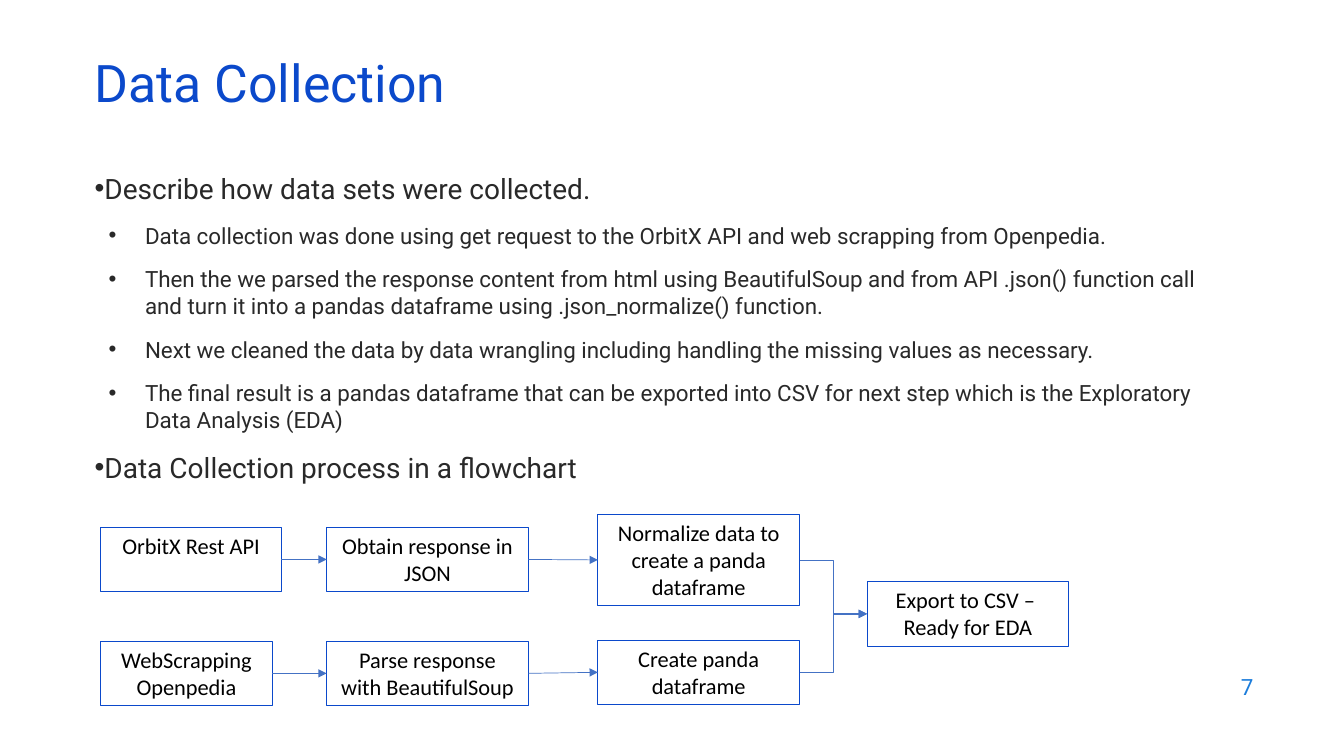
from lxml import etree
from pptx import Presentation
from pptx.dml.color import RGBColor
from pptx.enum import shapes, text
from pptx.oxml import ns
from pptx.util import Inches, Pt

BLUE = RGBColor(0x0B, 0x49, 0xCB)
ARROW_BLUE = RGBColor(0x44, 0x72, 0xC4)
NUMBER_BLUE = RGBColor(0x1C, 0x7D, 0xDB)
DARK = RGBColor(0x29, 0x29, 0x29)
BLACK = RGBColor(0, 0, 0)

# (level, text)
BULLETS = [
    (0, "Describe how data sets were collected."),
    (1, "Data collection was done using get request to the OrbitX API and "
        "web scrapping from Openpedia."),
    (1, "Then the we parsed the response content from html using BeautifulSoup "
        "and from API .json() function call and turn it into a pandas dataframe "
        "using .json_normalize() function."),
    (1, "Next we cleaned the data by data wrangling including handling the "
        "missing values as necessary."),
    (1, "The final result is a pandas dataframe that can be exported into CSV "
        "for next step which is the Exploratory Data Analysis (EDA)"),
    (0, "Data Collection process in a flowchart"),
]
LEVEL_SIZES = [20, 16]
LEVEL_INDENTS = [(0, 0), (0.5, -0.36)]

# name: (left, top, width, height, lines)
STEPS = {
    "api": (1, 5.23, 1.79, 0.64, ["OrbitX Rest API"]),
    "scraping": (1, 6.36, 1.7, 0.64, ["WebScrapping", "Openpedia"]),
    "json": (3.24, 5.23, 2, 0.64, ["Obtain response in JSON"]),
    "parse": (3.24, 6.36, 2, 0.64, ["Parse response with BeautifulSoup"]),
    "normalize": (5.93, 5.1, 2, 0.91, ["Normalize data to create a panda dataframe"]),
    "create": (5.93, 6.35, 2, 0.64, ["Create panda dataframe"]),
    "export": (8.6, 5.77, 2, 0.64, ["Export to CSV – ", "Ready for EDA"]),
}
STRAIGHT_FLOWS = [("api", "json"), ("json", "normalize"),
                  ("scraping", "parse"), ("parse", "create")]
ELBOW_FLOWS = [("normalize", "export"), ("create", "export")]


def place(shape, left, top, width, height):
    shape.left, shape.top = Inches(left), Inches(top)
    shape.width, shape.height = Inches(width), Inches(height)


def write(frame, lines, *, size, color, font="Roboto",
          align=text.PP_ALIGN.LEFT, anchor=text.MSO_ANCHOR.TOP, spacing=None):
    frame.word_wrap = True
    frame.auto_size = text.MSO_AUTO_SIZE.NONE
    frame.vertical_anchor = anchor
    for index, line in enumerate(lines):
        paragraph = frame.paragraphs[0] if index == 0 else frame.add_paragraph()
        paragraph.alignment = align
        paragraph.line_spacing = spacing
        run = paragraph.add_run()
        run.text = line
        run.font.name = font
        run.font.size = Pt(size)
        run.font.color.rgb = color


def add_bullet(paragraph, level):
    margin, indent = LEVEL_INDENTS[level]
    properties = paragraph._p.get_or_add_pPr()
    properties.set("marL", str(Inches(margin)))
    properties.set("indent", str(Inches(indent)))
    etree.SubElement(properties, ns.qn("a:buFont")).set("typeface", "Arial")
    etree.SubElement(properties, ns.qn("a:buChar")).set("char", "•")


def add_bullet_list(slide):
    box = slide.shapes.add_textbox(Inches(0.84), Inches(1.65), Inches(11.5), Inches(3.46))
    write(box.text_frame, [line for _, line in BULLETS], size=16, color=DARK)
    for index, (level, _) in enumerate(BULLETS):
        paragraph = box.text_frame.paragraphs[index]
        add_bullet(paragraph, level)
        paragraph.level = level
        paragraph.space_before = Pt(12 if index else 0)
        paragraph.runs[0].font.size = Pt(LEVEL_SIZES[level])


def add_step(slide, left, top, width, height, lines):
    step = slide.shapes.add_shape(
        shapes.MSO_SHAPE.RECTANGLE,
        Inches(left), Inches(top), Inches(width), Inches(height))
    step.shadow.inherit = False
    step.fill.background()
    step.line.color.rgb = BLUE
    step.line.width = Pt(0.75)
    write(step.text_frame, lines, size=16, color=BLACK, font="Calibri",
          align=text.PP_ALIGN.CENTER)
    return step


def add_arrow(slide, kind, source, target):
    """Join the right side of source to the left side of target."""
    arrow = slide.shapes.add_connector(kind, 0, 0, 0, 0)
    arrow.begin_connect(source, 3)
    arrow.end_connect(target, 1)
    arrow.line.color.rgb = ARROW_BLUE
    arrow.line.width = Pt(0.5)
    etree.SubElement(arrow.line._get_or_add_ln(), ns.qn("a:tailEnd")).set("type", "triangle")
    etree.SubElement(arrow._element.spPr, ns.qn("a:effectLst"))


def add_flowchart(slide):
    steps = {name: add_step(slide, *step) for name, step in STEPS.items()}
    for kind, flows in ((shapes.MSO_CONNECTOR.ELBOW, ELBOW_FLOWS),
                        (shapes.MSO_CONNECTOR.STRAIGHT, STRAIGHT_FLOWS)):
        for source, target in flows:
            add_arrow(slide, kind, steps[source], steps[target])


def main():
    presentation = Presentation()
    presentation.slide_width = Inches(13.33)
    presentation.slide_height = Inches(7.5)
    slide = presentation.slides.add_slide(presentation.slide_layouts[5])

    title = slide.shapes.title
    place(title, 0.84, 0.59, 11.5, 0.6)
    write(title.text_frame, ["Data Collection"], size=37, color=BLUE,
          anchor=text.MSO_ANCHOR.MIDDLE, spacing=0.7)
    add_bullet_list(slide)
    add_flowchart(slide)

    number = slide.shapes.add_textbox(Inches(9.53), Inches(6.59), Inches(3), Inches(0.44))
    write(number.text_frame, ["7"], size=16, color=NUMBER_BLUE,
          align=text.PP_ALIGN.RIGHT, anchor=text.MSO_ANCHOR.MIDDLE)
    presentation.save("out.pptx")


if __name__ == "__main__":
    main()
